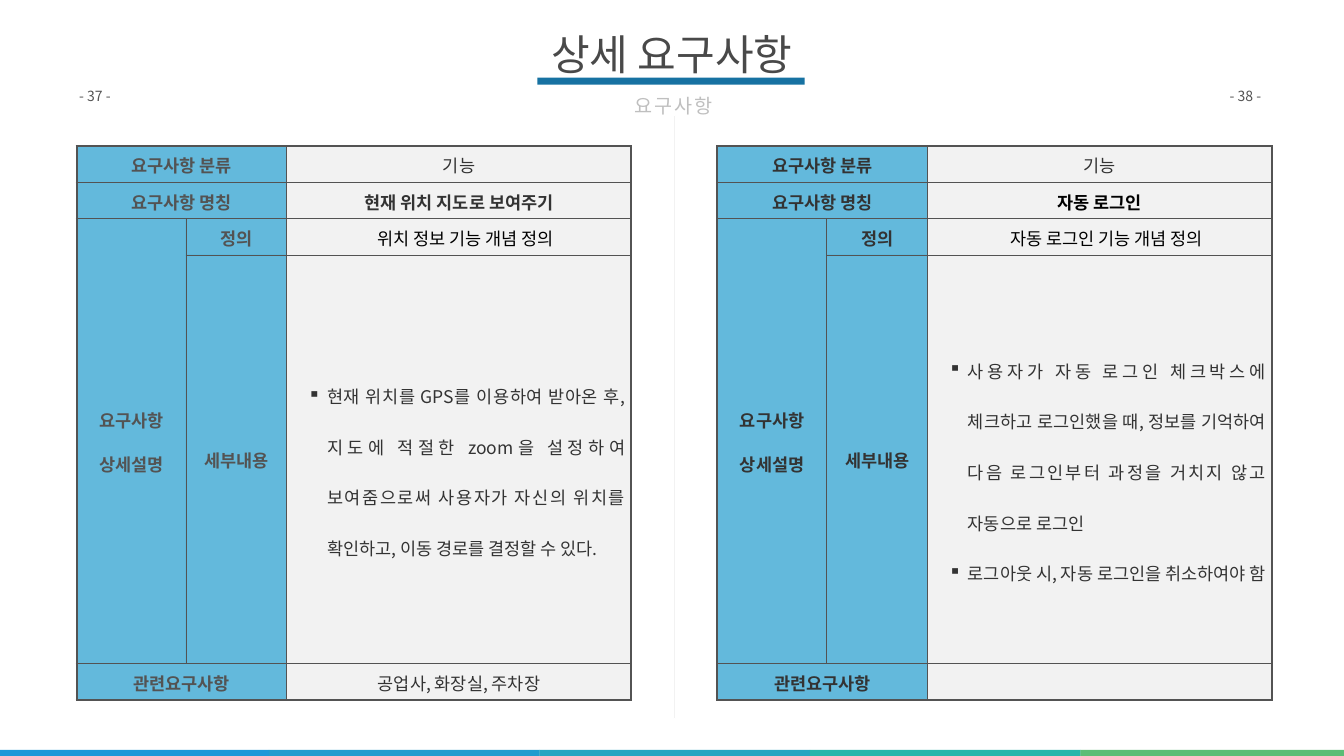
import pptx
import pptx.dml.color
import pptx.enum.shapes
import pptx.enum.text
import pptx.oxml.ns
import pptx.util
from lxml import etree

Pt = pptx.util.Pt
ALIGN = pptx.enum.text.PP_ALIGN
ANCHOR = pptx.enum.text.MSO_ANCHOR
FONT = "Noto Sans CJK KR"
COLORS = {
    "label": "229CCE", "value": "F2F2F2", "border": "535353", "dark": "333333",
    "black": "000000", "title": "494949", "subtitle": "BFBFBF",
    "underline": "1772A2", "white": "FFFFFF",
}
STRIP = ["1F98D8", "229CCE", "27A5C1", "24B6AB", "5BBD76"]
COLUMNS = [156.2, 144, 492]
ROWS = [51.8, 51.8, 51.8, 584, 51.8]
# Label cells: row, column, row span, column span, lines
LABELS = [
    (0, 0, 1, 2, ["요구사항 분류"]),
    (1, 0, 1, 2, ["요구사항 명칭"]),
    (2, 0, 2, 1, ["요구사항", "상세설명"]),
    (2, 1, 1, 1, ["정의"]),
    (3, 1, 1, 1, ["세부내용"]),
    (4, 0, 1, 2, ["관련요구사항"]),
]


def rgb(name):
    return pptx.dml.color.RGBColor.from_string(COLORS.get(name, name))


def add_element(parent, tag, **attributes):
    return etree.SubElement(parent, pptx.oxml.ns.qn(tag), attributes)


def style(para, size, color, bold=False, align=ALIGN.CENTER):
    para.alignment = align
    font = para.font
    font.size, font.bold, font.name = Pt(size), bold, FONT
    font.color.rgb = rgb(color)
    latin = para._p.pPr.find(".//" + pptx.oxml.ns.qn("a:latin"))
    latin.addnext(latin.makeelement(pptx.oxml.ns.qn("a:ea"), {"typeface": FONT}))


def set_margins(target, left, top, right, bottom):
    target.margin_left, target.margin_top = Pt(left), Pt(top)
    target.margin_right, target.margin_bottom = Pt(right), Pt(bottom)


def add_bar(page, left, top, width, height, color, line=None):
    bar = page.shapes.add_shape(pptx.enum.shapes.MSO_SHAPE.RECTANGLE,
                                Pt(left), Pt(top), Pt(width), Pt(height))
    bar.shadow.inherit = False
    bar.fill.solid()
    bar.fill.fore_color.rgb = rgb(color)
    if line:
        bar.line.color.rgb = rgb(line)
        bar.line.width = Pt(1)
    else:
        bar.line.fill.background()


def add_text(page, left, top, width, height, text, size, color,
             margins, align=ALIGN.LEFT, wrap=True):
    box = page.shapes.add_textbox(Pt(left), Pt(top), Pt(width), Pt(height))
    frame = box.text_frame
    frame.word_wrap = wrap
    set_margins(frame, *margins)
    para = frame.paragraphs[0]
    para.text = text
    style(para, size, color, align=align)
    return para


def add_title(page, text):
    title = page.shapes.title
    title.left, title.top = Pt(758), Pt(31.7)
    title.width, title.height = Pt(403.2), Pt(89.3)
    frame = title.text_frame
    set_margins(frame, 8.6, 8.6, 8.6, 8.6)
    frame.vertical_anchor = ANCHOR.MIDDLE
    frame.text = text
    style(frame.paragraphs[0], 60, "title")


def set_borders(cell, row, column, row_span=1, column_span=1):
    """Heavy outer frame, medium line before the values, thin lines elsewhere."""
    across = {0: 3, 2: 2.25, 3: 3}
    down = {0: 3, len(ROWS): 3}
    widths = {
        "a:lnL": across.get(column, 1),
        "a:lnR": across.get(column + column_span, 1),
        "a:lnT": down.get(row, 1),
        "a:lnB": down.get(row + row_span, 1),
    }
    properties = cell._tc.get_or_add_tcPr()
    for index, (tag, width) in enumerate(widths.items()):
        line = add_element(properties, tag, w=str(Pt(width)))
        fill = add_element(line, "a:solidFill")
        add_element(fill, "a:srgbClr", val=COLORS["border"])
        properties.insert(index, line)


def fill_cell(cell, color, opacity=None):
    cell.fill.solid()
    cell.fill.fore_color.rgb = rgb(color)
    if opacity:
        value = cell._tc.tcPr.find(".//" + pptx.oxml.ns.qn("a:srgbClr"))
        add_element(value, "a:alpha", val=str(opacity * 1000))


def write_cell(cell, lines, color, bold=False, bullets=False, indent=None):
    cell.vertical_anchor = ANCHOR.MIDDLE
    set_margins(cell, 0.7, 0.7, 8.6 if bullets else 0.7, 0.7)
    for index, text in enumerate(lines):
        frame = cell.text_frame
        para = frame.add_paragraph() if index else frame.paragraphs[0]
        para.text = text
        para.line_spacing = 2.0 if bullets else 1.07
        if not bullets:
            para.space_after = Pt(12)
            if index:
                para.space_before = Pt(12)
        properties = para._p.get_or_add_pPr()
        if indent:
            properties.set("marL", str(Pt(indent[0])))
            properties.set("indent", str(Pt(indent[1])))
        if bullets:
            add_element(properties, "a:buChar", char="▪")
        style(para, 25, color, bold, ALIGN.JUSTIFY if bullets else ALIGN.CENTER)


def add_requirement(page, left, label_color, name_color, kind, name,
                    definition, details, related):
    table = page.shapes.add_table(len(ROWS), len(COLUMNS), Pt(left), Pt(208.8),
                                  Pt(sum(COLUMNS)), Pt(sum(ROWS))).table
    table.first_row = table.horz_banding = False
    for column, width in zip(table.columns, COLUMNS):
        column.width = Pt(width)
    for row, height in zip(table.rows, ROWS):
        row.height = Pt(height)

    # Labels
    for row, column, row_span, column_span, lines in LABELS:
        cell = table.cell(row, column)
        if row_span * column_span > 1:
            cell.merge(table.cell(row + row_span - 1, column + column_span - 1))
        fill_cell(cell, "label", 70)
        write_cell(cell, lines, label_color, bold=True)
        set_borders(cell, row, column, row_span, column_span)

    # Values
    values = [
        ([kind], "dark", {}),
        ([name], name_color, {"bold": True}),
        ([definition], "black", {"indent": (33.8, -15.1)}),
        (details, "dark", {"bullets": True, "indent": (56.9, -27.4)}),
        ([related], "dark", {}),
    ]
    for row, (lines, color, options) in enumerate(values):
        cell = table.cell(row, 2)
        fill_cell(cell, "value")
        write_cell(cell, lines, color, **options)
        set_borders(cell, row, 2)

    # Cells hidden by a merge still carry the frame
    for row in range(len(ROWS)):
        for column in range(2):
            cell = table.cell(row, column)
            if cell.is_spanned:
                fill_cell(cell, "label", 70)
                set_borders(cell, row, column)


def main():
    deck = pptx.Presentation()
    deck.slide_width, deck.slide_height = Pt(1919.52), Pt(1080)
    page = deck.slides.add_slide(deck.slide_layouts[5])

    # Colour strip along the bottom
    for index, color in enumerate(STRIP):
        add_bar(page, -2.2 + index * 386.3, 1071.4, 386.6, 14.4, color)

    # Requirement tables and the divider between them
    add_requirement(
        page, 109.4, "border", "dark", "기능", "현재 위치 지도로 보여주기",
        "위치 정보 기능 개념 정의",
        ["현재 위치를 GPS를 이용하여 받아온 후, 지도에 적절한 zoom을 설정하여 "
         "보여줌으로써 사용자가 자신의 위치를 확인하고, 이동 경로를 결정할 수 있다."],
        "공업사, 화장실, 주차장")
    add_bar(page, 961.6, 165.2, 3.6, 861.1, "value", "white")
    add_requirement(
        page, 1024.6, "dark", "black", "기능", "자동 로그인",
        "자동 로그인 기능 개념 정의",
        ["사용자가 자동 로그인 체크박스에 체크하고 로그인했을 때, 정보를 "
         "기억하여 다음 로그인부터 과정을 거치지 않고 자동으로 로그인",
         "로그아웃 시, 자동 로그인을 취소하여야 함"],
        "")

    # Page numbers
    for left, number in ((109.4, "- 37 -"), (1752.5, "- 38 -")):
        add_text(page, left, 121, 67, 31.7, number, 20, "border", [3.6] * 4)

    # Heading
    add_title(page, "상세 요구사항")
    add_bar(page, 767.5, 110.9, 381.6, 10.1, "underline")
    subtitle = add_text(page, 887.8, 118.8, 147.6, 56.2, "요구사항", 28, "subtitle",
                        (17.3, 8.6, 17.3, 8.6), ALIGN.CENTER, wrap=False)
    subtitle.line_spacing = 1.2
    subtitle.runs[0].font._element.set("spc", "300")

    deck.save("out.pptx")


if __name__ == "__main__":
    main()
